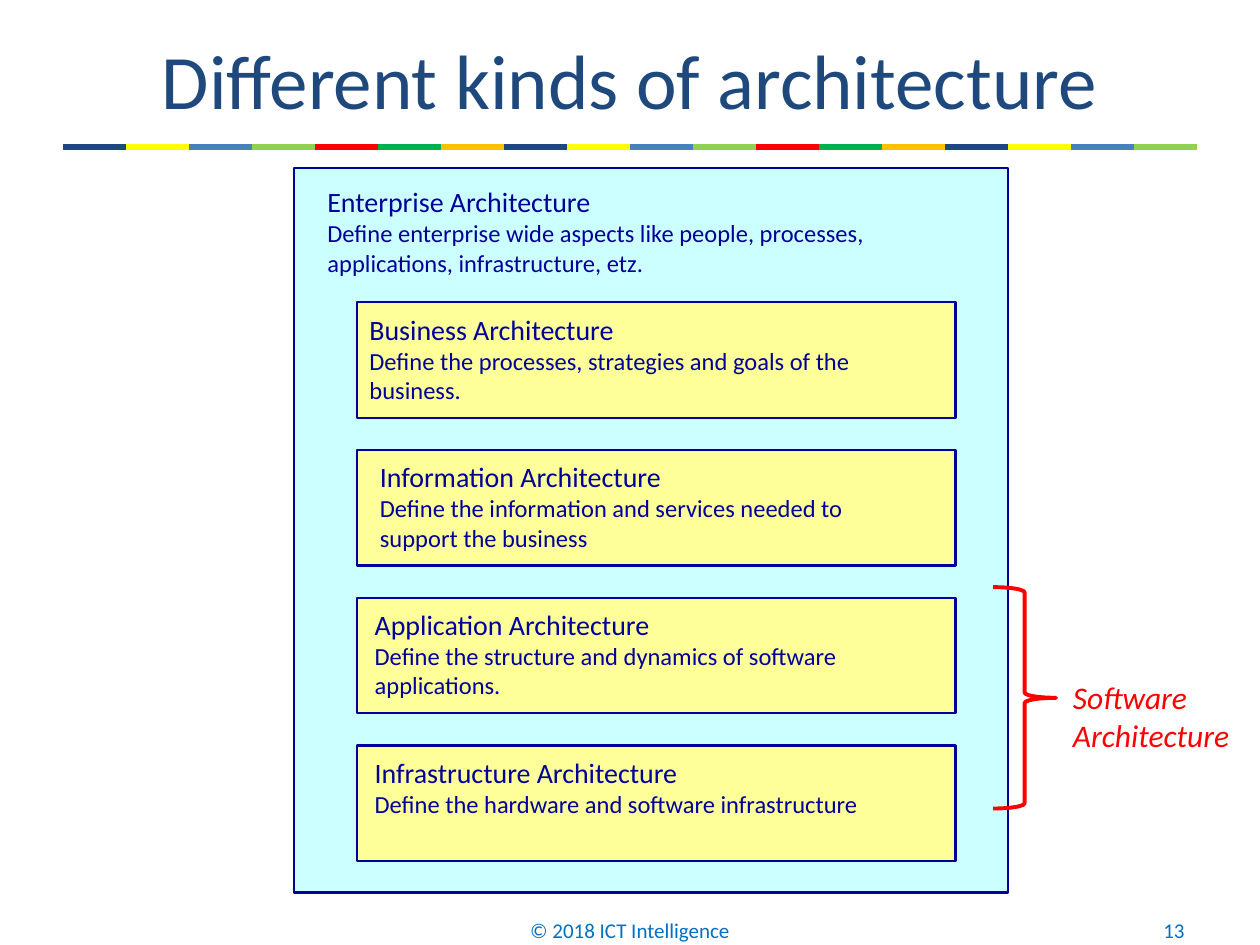
from dataclasses import dataclass
from itertools import cycle, islice

from lxml import etree
from pptx import Presentation
from pptx.dml.color import RGBColor
from pptx.enum.shapes import MSO_CONNECTOR, MSO_SHAPE as Preset
from pptx.enum.text import MSO_ANCHOR as Anchor, PP_ALIGN as Align
from pptx.oxml.ns import qn
from pptx.util import Pt


@dataclass(frozen=True)
class Theme:
    font: str = "Calibri"
    title: str = "1F497D"
    ink: str = "000099"
    outer_fill: str = "CCFFFF"
    layer_fill: str = "FFFF99"
    accent: str = "FF0000"
    footer: str = "0070C0"
    stripes: tuple = ("1F497D", "FFFF00", "4B7EBC", "92D050",
                      "FF0000", "00B050", "FFC000")
    title_size: int = 44
    heading_size: int = 16
    body_size: int = 14
    label_size: int = 18
    footer_size: int = 12


THEME = Theme()

# Heading, description, text indent and text width of each layer
LAYERS = [
    ("Business Architecture",
     "Define the processes, strategies and goals of the business.", 0, 300),
    ("Information Architecture",
     "Define the information and services needed to support the business", 6, 306),
    ("Application Architecture",
     "Define the structure and dynamics of software applications.", 3, 300),
    ("Infrastructure Architecture",
     "Define the hardware and software infrastructure", 3, 318),
]


def rgb(color):
    return RGBColor.from_string(color)


def fill_text(frame, lines, color, align=Align.LEFT, anchor=Anchor.TOP,
              wrap=True, italic=False):
    """Write (text, size) lines, one paragraph each."""
    frame.word_wrap = wrap
    frame.vertical_anchor = anchor
    for index, (text, size) in enumerate(lines):
        paragraph = frame.add_paragraph() if index else frame.paragraphs[0]
        paragraph.alignment = align
        run = paragraph.add_run()
        run.text = text
        formats = {"name": THEME.font, "size": Pt(size), "italic": italic}
        for name, value in formats.items():
            setattr(run.font, name, value)
        run.font.color.rgb = rgb(color)


def add_text(slide, box, lines, color, **options):
    shape = slide.shapes.add_textbox(*map(Pt, box))
    fill_text(shape.text_frame, lines, color, **options)


def add_outline(slide, preset, box, line, width, fill=None):
    shape = slide.shapes.add_shape(preset, *map(Pt, box))
    shape.shadow.inherit = False
    if fill:
        shape.fill.solid()
        shape.fill.fore_color.rgb = rgb(fill)
    else:
        shape.fill.background()
    shape.line.color.rgb = rgb(line)
    shape.line.width = Pt(width)


def add_stripe_rule(slide, left, top, width, count=18):
    step = width / count
    for index, color in enumerate(islice(cycle(THEME.stripes), count)):
        start = left + index * step
        stripe = slide.shapes.add_connector(
            MSO_CONNECTOR.STRAIGHT, Pt(start), Pt(top), Pt(start + step), Pt(top))
        stripe.line.color.rgb = rgb(color)
        stripe.line.width = Pt(3.5)
        etree.SubElement(stripe.element.spPr, qn("a:effectLst"))


def add_title(slide, left, top, width, height):
    title = slide.shapes.title
    places = {"left": left, "top": top, "width": width, "height": height}
    for name, value in places.items():
        setattr(title, name, Pt(value))
    fill_text(title.text_frame, [("Different kinds of architecture", THEME.title_size)],
              THEME.title, align=Align.CENTER, anchor=Anchor.MIDDLE)


def described(heading, description):
    return [(heading, THEME.heading_size), (description, THEME.body_size)]


def add_enterprise(slide, left, top, width, height):
    add_outline(slide, Preset.RECTANGLE, (left, top, width, height),
                THEME.ink, 1.25, THEME.outer_fill)
    add_text(slide, (left + 12, top + 6, 384, 60),
             described("Enterprise Architecture",
                       "Define enterprise wide aspects like people, processes, "
                       "applications, infrastructure, etz."), THEME.ink)
    # Layers stacked at an equal pitch
    layer_left, first_top, pitch = left + 36, top + 76.8, 84.4
    for index, (heading, description, indent, text_width) in enumerate(LAYERS):
        layer_top = first_top + index * pitch
        add_outline(slide, Preset.RECTANGLE, (layer_left, layer_top, 342, 66),
                    THEME.ink, 1.25, THEME.layer_fill)
        add_text(slide, (layer_left + indent, layer_top + 2, text_width, 60),
                 described(heading, description), THEME.ink)


def add_software_bracket(slide, left, top, width, height):
    add_outline(slide, Preset.RIGHT_BRACE, (left, top, width, height),
                THEME.accent, 2.25)
    label = [(word, THEME.label_size) for word in ("Software", "Architecture")]
    add_text(slide, (left + width + 2.5, top + 48.3, 106, 51), label,
             THEME.accent, wrap=False, italic=True)


def add_footer(slide, top, height):
    parts = [("© 2018 ICT Intelligence", 246, 228, Align.CENTER),
             ("13", 516, 168, Align.RIGHT)]
    for text, left, width, align in parts:
        add_text(slide, (left, top, width, height), [(text, THEME.footer_size)],
                 THEME.footer, align=align, anchor=Anchor.MIDDLE)


def main():
    presentation = Presentation()
    presentation.slide_width, presentation.slide_height = Pt(720), Pt(540)
    slide = presentation.slides.add_slide(presentation.slide_layouts[5])
    add_stripe_rule(slide, 36, 84, 648)
    add_title(slide, 36, 12, 648, 66)
    add_enterprise(slide, 168, 96, 408, 414)
    add_software_bracket(slide, 567.5, 335.5, 36, 126.5)
    add_footer(slide, 517, 29)
    presentation.save("out.pptx")


if __name__ == "__main__":
    main()
